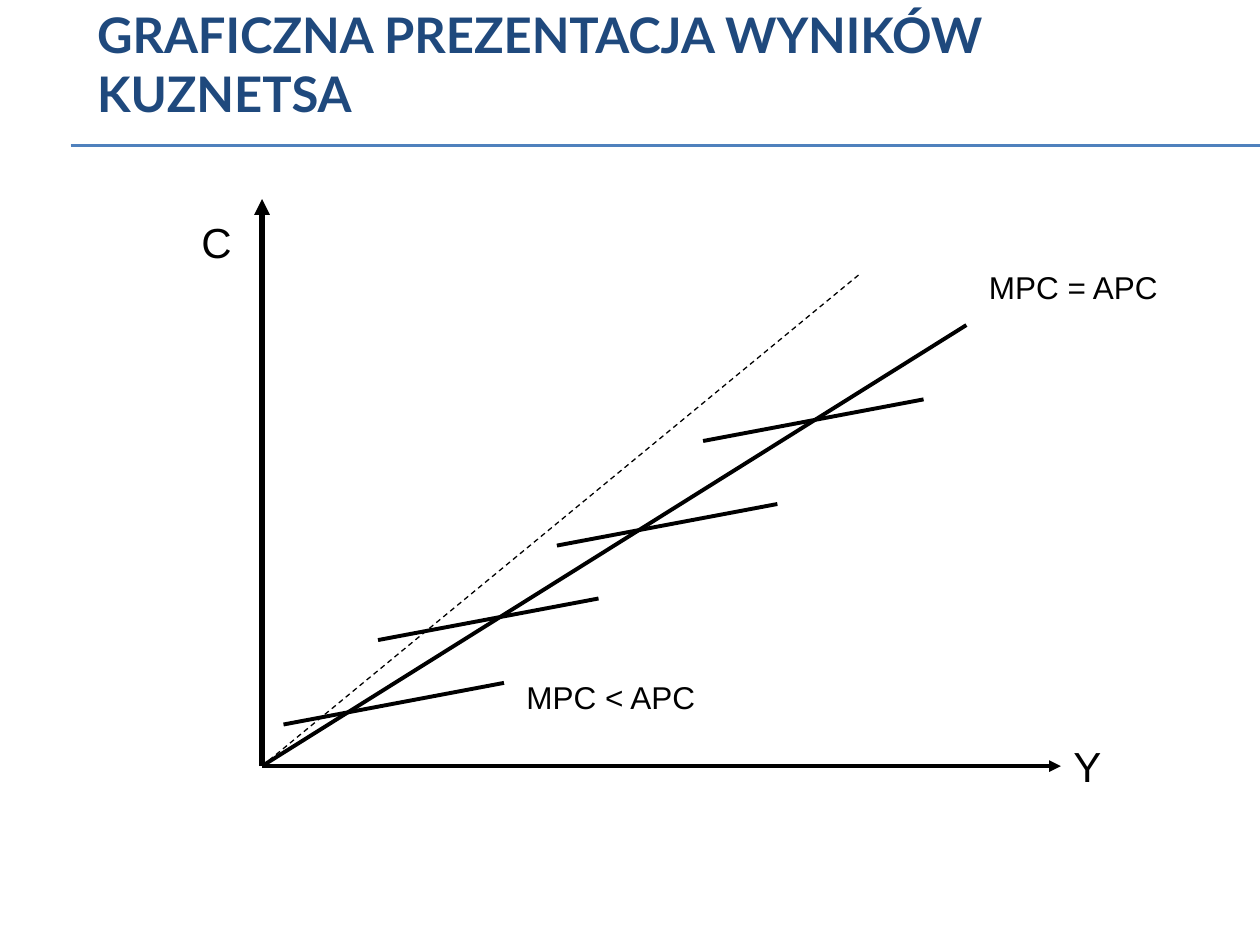
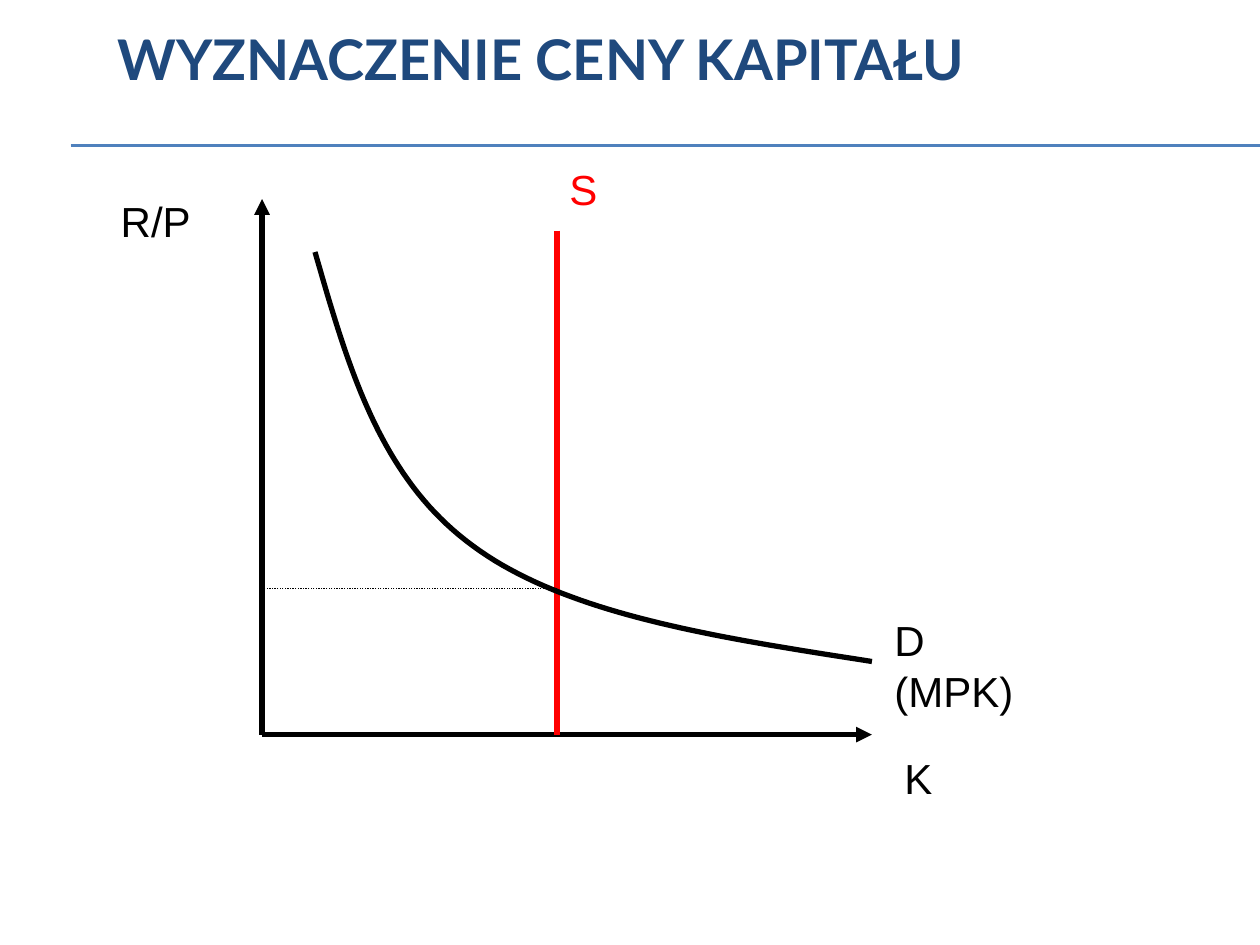
from lxml.etree import SubElement
from pptx import Presentation
from pptx.dml.color import RGBColor
from pptx.enum.dml import MSO_LINE
from pptx.enum.shapes import MSO_CONNECTOR
from pptx.enum.text import MSO_ANCHOR, MSO_AUTO_SIZE, PP_ALIGN
from pptx.oxml.ns import qn
from pptx.util import Inches, Pt

NAVY = RGBColor(0x1F, 0x49, 0x7D)
BLUE = RGBColor(0x4F, 0x81, 0xBD)
BLACK = RGBColor(0, 0, 0)
RED = RGBColor(0xFF, 0, 0)
TITLE_FONT, LABEL_FONT = "Lato", "Arial"
TITLE_ONLY = 5
AXIS_X, AXIS_TOP = 2.08, 1.58


def bezier(p0, p1, p2, p3, steps=40):
    """Points along a cubic curve, without its start."""
    points = []
    for i in range(1, steps + 1):
        t = i / steps
        u = 1 - t
        points.append(tuple(u**3 * a + 3 * u * u * t * b + 3 * u * t * t * c + t**3 * d
                            for a, b, c, d in zip(p0, p1, p2, p3)))
    return points


class Deck:
    def __init__(self):
        self.prs = Presentation()
        self.prs.slide_width, self.prs.slide_height = Inches(10), Inches(7.5)
        self.s = None

    def slide(self, title, box, size):
        self.s = self.prs.slides.add_slide(self.prs.slide_layouts[TITLE_ONLY])
        sp = self.s.shapes.title
        sp.left, sp.top, sp.width, sp.height = map(Inches, box)
        self.set_text(sp.text_frame, title, size, NAVY, TITLE_FONT, bold=True)
        sp.text_frame.vertical_anchor = MSO_ANCHOR.MIDDLE
        for y in (1.15, 1.16):
            self.line((0.56, y), (10, y), 0.75, BLUE)

    def set_text(self, tf, text, size, color, font, bold=False):
        tf.word_wrap = True
        tf.auto_size = MSO_AUTO_SIZE.NONE
        p = tf.paragraphs[0]
        p.alignment = PP_ALIGN.LEFT
        r = p.add_run()
        r.text = text
        for name, value in {"name": font, "size": Pt(size), "bold": bold}.items():
            setattr(r.font, name, value)
        r.font.color.rgb = color

    def label(self, text, box, size=24, color=BLACK):
        sp = self.s.shapes.add_textbox(*map(Inches, box))
        self.set_text(sp.text_frame, text, size, color, LABEL_FONT)

    def line(self, start, end, width=2.25, color=BLACK, dash=None, arrow=False):
        cx = self.s.shapes.add_connector(MSO_CONNECTOR.STRAIGHT, *map(Inches, start + end))
        cx.line.color.rgb = color
        cx.line.width = Pt(width)
        if dash:
            cx.line.dash_style = dash
        props = cx.element.spPr
        if arrow:
            SubElement(props.find(qn("a:ln")), qn("a:tailEnd"), type="triangle")
        SubElement(props, qn("a:effectLst"))

    def axes(self, right, bottom, width):
        origin = (AXIS_X, bottom)
        self.line(origin, (AXIS_X, AXIS_TOP), 3, arrow=True)
        self.line(origin, (right, bottom), width, arrow=True)
        return origin

    def curve(self, start, *segments):
        points, last = [], start
        for segment in segments:
            points += bezier(last, *segment)
            last = segment[-1]
        fb = self.s.shapes.build_freeform(*map(Inches, start))
        fb.add_line_segments([tuple(map(Inches, pt)) for pt in points], close=False)
        sp = fb.convert_to_shape()
        sp.shadow.inherit = False
        sp.fill.background()
        sp.line.color.rgb = BLACK
        sp.line.width = Pt(3)


def kuznets_slide(deck):
    deck.slide("GRAFICZNA PREZENTACJA WYNIKÓW KUZNETSA", (0.67, 0, 8.5, 1), 28)
    origin = deck.axes(8.42, 6.08, 2.25)
    deck.line(origin, (6.83, 2.17), 0.75, dash=MSO_LINE.DASH)
    deck.line(origin, (7.67, 2.58))
    for x, y in ((2.25, 5.75), (3, 5.08), (4.42, 4.33), (5.58, 3.5)):
        deck.line((x, y), (x + 1.75, y - 0.33))
    deck.label("MPC = APC", (7.75, 2.08, 1.75, 0.43), 18)
    deck.label("MPC < APC", (4.08, 5.33, 2.08, 0.43), 18)
    deck.label("C", (1.5, 1.67, 0.58, 0.5))
    deck.label("Y", (8.42, 5.83, 0.67, 0.5))


def capital_price_slide(deck):
    supply_x, price_y = 4.42, 4.67
    deck.slide("WYZNACZENIE CENY KAPITAŁU", (0.83, 0, 8.5, 0.92), 32)
    _, bottom = deck.axes(6.92, 5.83, 3)
    deck.label("K", (7.08, 5.92, 0.5, 0.5))
    deck.label("R/P", (0.86, 1.5, 1.06, 0.5))
    deck.line((supply_x, 1.83), (supply_x, bottom), 3, RED)
    deck.curve((2.5, 2), ((2.76, 2.9), (3.01, 3.79), (3.75, 4.33)),
               ((4.49, 4.88), (5.7, 5.06), (6.92, 5.25)))
    deck.label("S", (supply_x, 1.25, 0.67, 0.5), color=RED)
    deck.label("D (MPK)", (7, 4.83, 1.33, 0.9))
    deck.line((supply_x, price_y), (AXIS_X, price_y), 0.75, dash=MSO_LINE.ROUND_DOT)


def main():
    deck = Deck()
    kuznets_slide(deck)
    capital_price_slide(deck)
    deck.prs.save("out.pptx")


if __name__ == "__main__":
    main()
